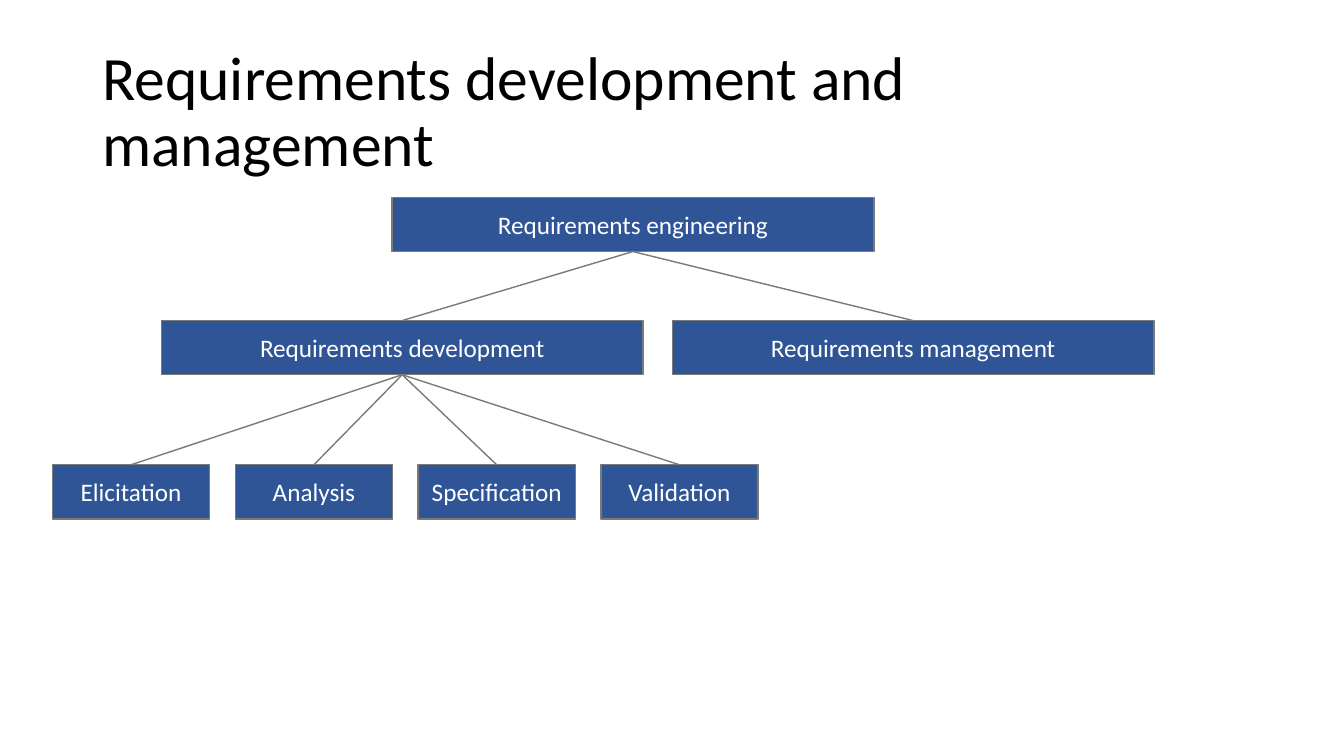
from pptx import Presentation
from pptx.dml.color import RGBColor
from pptx.enum.shapes import MSO_CONNECTOR as Connector, MSO_SHAPE as Shape
from pptx.enum.text import MSO_ANCHOR as Anchor, PP_ALIGN as Align
from pptx.oxml import parse_xml
from pptx.oxml.ns import nsdecls
from pptx.util import Pt

# Content
TITLE = "Requirements development and management"
# Each level: left of first box, top, box width, step between lefts, labels
LEVELS = [
    (280, 141, 344.2, 0, ["Requirements engineering"]),
    (115.2, 229, 344.2, 365, ["Requirements development", "Requirements management"]),
    (37.4, 332, 112.4, 130.6, ["Elicitation", "Analysis", "Specification", "Validation"]),
]
CHILDREN = {
    "Requirements engineering": LEVELS[1][4],
    "Requirements development": LEVELS[2][4],
}
BOX_HEIGHT = 38.7
FONT, BLUE, GREY, WHITE, BLACK = "Calibri", "2F5597", "7A7A7A", "FFFFFF", "000000"


def color(value):
    return RGBColor.from_string(value)


def write(shape, text, size, ink, align=Align.LEFT, spacing=1.0):
    frame = shape.text_frame
    frame.word_wrap = True
    frame.vertical_anchor = Anchor.MIDDLE
    para = frame.paragraphs[0]
    para.alignment = align
    para.line_spacing = spacing
    span = para.add_run()
    span.text = text
    span.font.name = FONT
    span.font.size = Pt(size)
    span.font.color.rgb = color(ink)


def outline(shape):
    shape.line.color.rgb = color(GREY)
    shape.line.width = Pt(1)


def add_box(page, label, left, top, width):
    box = page.shapes.add_shape(Shape.RECTANGLE, Pt(left), Pt(top), Pt(width), Pt(BOX_HEIGHT))
    box.shadow.inherit = False
    box.fill.solid()
    box.fill.fore_color.rgb = color(BLUE)
    outline(box)
    write(box, label, 18, WHITE, align=Align.CENTER)
    return box


def join(page, parent, child):
    link = page.shapes.add_connector(Connector.STRAIGHT, 0, 0, 0, 0)
    link.begin_connect(parent, 2)
    link.end_connect(child, 0)
    outline(link)
    link._element.spPr.append(parse_xml(f"<a:effectLst {nsdecls('a')}/>"))


def main():
    deck = Presentation()
    deck.slide_width, deck.slide_height = Pt(960), Pt(540)
    page = deck.slides.add_slide(deck.slide_layouts[6])

    # Title
    title = page.shapes.add_textbox(Pt(66), Pt(28.8), Pt(828), Pt(104.4))
    write(title, TITLE, 44, BLACK, spacing=0.9)

    # Boxes, level by level
    boxes = {}
    for left, top, width, step, labels in LEVELS:
        for index, label in enumerate(labels):
            boxes[label] = add_box(page, label, left + index * step, top, width)

    # Lines from each parent to its children
    for parent, children in CHILDREN.items():
        for child in children:
            join(page, boxes[parent], boxes[child])

    deck.save("out.pptx")


if __name__ == "__main__":
    main()
